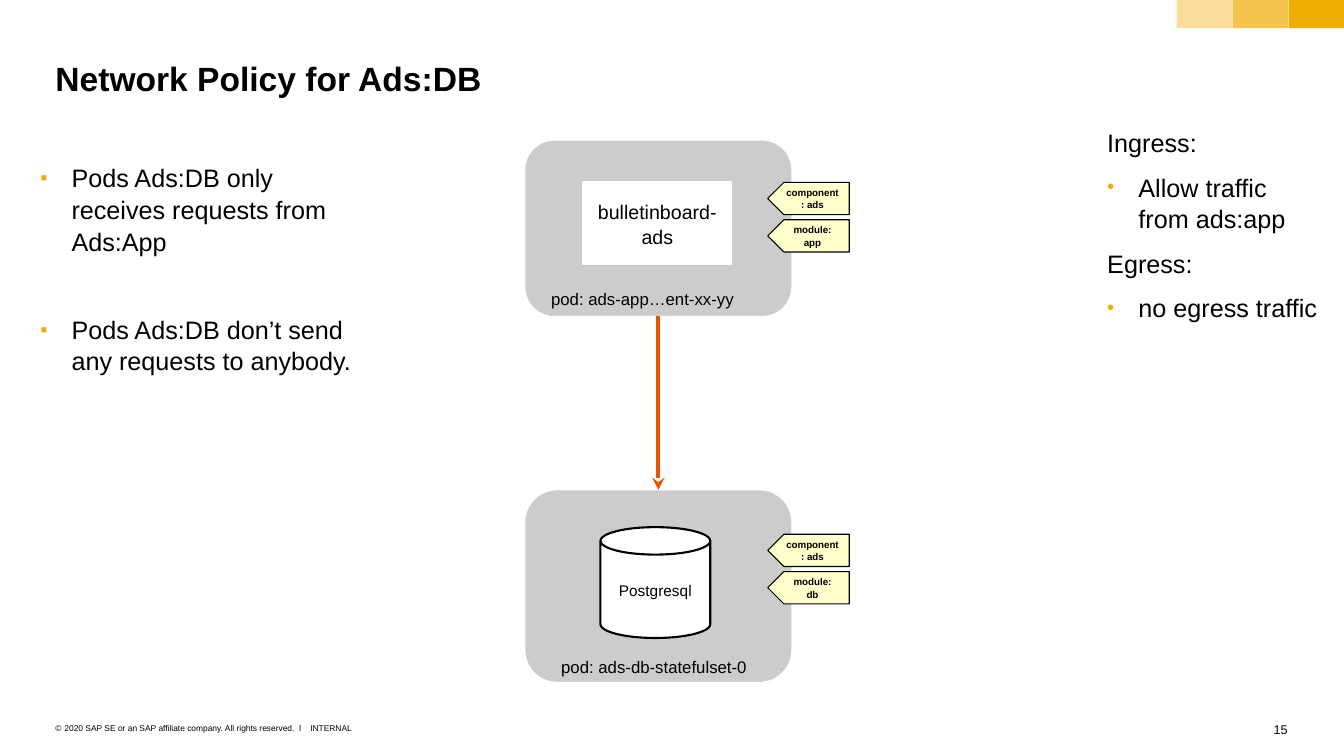
from dataclasses import dataclass
from typing import NamedTuple, Optional

from lxml import etree
from pptx import Presentation
from pptx.dml.color import RGBColor
from pptx.enum import shapes, text
from pptx.oxml import ns
from pptx.util import Inches, Pt


@dataclass(frozen=True)
class Theme:
    font: str = "Arial"
    ink: str = "000000"
    paper: str = "FFFFFF"
    accent: str = "F0AB00"
    pod: str = "CCCCCC"
    tag: str = "FFFFCC"
    arrow: str = "E35500"
    title_size: float = 24
    list_size: float = 18
    app_size: float = 14
    label_size: float = 12
    database_size: float = 11
    number_size: float = 9
    tag_size: float = 7
    footer_size: float = 6


class Box(NamedTuple):
    left: float
    top: float
    width: float
    height: float

    def lengths(self) -> list:
        return [Inches(value) for value in self]


@dataclass(frozen=True)
class Item:
    text: str
    bullet: str = ""
    before: float = 9


@dataclass(frozen=True)
class Pod:
    box: Box
    label: str
    label_box: Box
    content: str
    content_box: Box
    content_kind: shapes.MSO_SHAPE
    content_size: float
    content_line: str
    tags: tuple
    tag_top: float


THEME = Theme()
CENTER, LEFT, RIGHT = text.PP_ALIGN.CENTER, text.PP_ALIGN.LEFT, text.PP_ALIGN.RIGHT
TAG_LEFT, TAG_WIDTH, TAG_HEIGHT, TAG_STEP = 7.62, 0.81, 0.32, 0.37

APP_POD = Pod(
    Box(5.21, 1.39, 2.65, 1.75),
    "pod: ads-app…ent-xx-yy", Box(5.47, 2.85, 2.27, 0.2),
    "bulletinboard-\vads", Box(5.79, 1.81, 1.47, 0.81),
    shapes.MSO_SHAPE.RECTANGLE, THEME.app_size, THEME.paper,
    ("component: ads", "module:\vapp"), 1.81,
)
DATABASE_POD = Pod(
    Box(5.21, 4.86, 2.65, 1.91),
    "pod: ads-db-statefulset-0", Box(5.57, 6.51, 1.93, 0.2),
    "Postgresql", Box(5.96, 5.23, 1.09, 1.1),
    shapes.MSO_SHAPE.CAN, THEME.database_size, THEME.ink,
    ("component: ads", "module:\vdb"), 5.3,
)
POLICY_ITEMS = (
    Item("Pods Ads:DB only receives requests from Ads:App", "▪"),
    Item("Pods Ads:DB don’t send any requests to anybody.", "▪", before=40),
)
RULE_ITEMS = (
    Item("Ingress:"),
    Item("Allow traffic from ads:app", "•"),
    Item("Egress:"),
    Item("no egress traffic", "•"),
)


def color(value: str) -> RGBColor:
    return RGBColor.from_string(value)


def add_xml(parent, tag: str, **attributes: str):
    return etree.SubElement(parent, ns.qn(tag), attributes)


def format_paragraph(paragraph, size: float, align=LEFT, bold: bool = False) -> None:
    paragraph.alignment = align
    paragraph.line_spacing = 1.05
    for run in paragraph.runs:
        run.font.name = THEME.font
        run.font.size = Pt(size)
        run.font.bold = bold
        run.font.color.rgb = color(THEME.ink)


def set_bullet(paragraph, character: str, indent: float, bullet_color: str, percent: int) -> None:
    """Give the paragraph a hanging bullet, or none if the character is empty."""
    properties = paragraph._p.get_or_add_pPr()
    hang = Inches(indent) if character else 0
    properties.set("marL", str(hang))
    properties.set("indent", str(-hang))
    if not character:
        add_xml(properties, "a:buNone")
        return
    add_xml(add_xml(properties, "a:buClr"), "a:srgbClr", val=bullet_color)
    add_xml(properties, "a:buSzPct", val=str(percent * 1000))
    add_xml(properties, "a:buFont", typeface=THEME.font)
    add_xml(properties, "a:buChar", char=character)


def prepare_frame(shape, wrap: bool = True, anchor=text.MSO_ANCHOR.TOP, inset=(0, 0)):
    frame = shape.text_frame
    frame.word_wrap = wrap
    frame.auto_size = text.MSO_AUTO_SIZE.NONE
    frame.vertical_anchor = anchor
    frame.margin_left = frame.margin_right = Inches(inset[0])
    frame.margin_top = frame.margin_bottom = Inches(inset[1])
    return frame


def add_text(slide, box: Box, words: str, size: float, align=LEFT, wrap: bool = True):
    frame = prepare_frame(slide.shapes.add_textbox(*box.lengths()), wrap)
    frame.text = words
    format_paragraph(frame.paragraphs[0], size, align)
    return frame.paragraphs[0]


def add_block(slide, kind, box: Box, fill: str, line: Optional[str] = None, width: float = 0.75,
              words: str = "", size: float = THEME.label_size, bold: bool = False):
    shape = slide.shapes.add_shape(kind, *box.lengths())
    shape.shadow.inherit = False
    shape.fill.solid()
    shape.fill.fore_color.rgb = color(fill)
    if line:
        shape.line.color.rgb = color(line)
        shape.line.width = Pt(width)
    else:
        shape.line.fill.background()
    if words:
        frame = prepare_frame(shape, anchor=text.MSO_ANCHOR.MIDDLE, inset=(0.1, 0.08))
        frame.text = words
        format_paragraph(frame.paragraphs[0], size, CENTER, bold)
    return shape


def place(placeholder, box: Box) -> None:
    placeholder.left, placeholder.top, placeholder.width, placeholder.height = box.lengths()


def fill_title(title, box: Box, words: str) -> None:
    place(title, box)
    frame = prepare_frame(title)
    frame.text = words
    format_paragraph(frame.paragraphs[0], THEME.title_size, bold=True)


def fill_list(body, box: Box, items: tuple) -> None:
    place(body, box)
    frame = prepare_frame(body)
    for index, item in enumerate(items):
        paragraph = frame.add_paragraph() if index else frame.paragraphs[0]
        paragraph.text = item.text
        set_bullet(paragraph, item.bullet, 0.31, THEME.accent, 80)
        paragraph.space_before = Pt(item.before if index else 0)
        format_paragraph(paragraph, THEME.list_size)


def add_pod(slide, pod: Pod):
    frame = add_block(slide, shapes.MSO_SHAPE.ROUNDED_RECTANGLE, pod.box, THEME.pod, THEME.paper, 0.79)
    add_text(slide, pod.label_box, pod.label, THEME.label_size)
    for index, words in enumerate(pod.tags):
        box = Box(TAG_LEFT, pod.tag_top + index * TAG_STEP, TAG_WIDTH, TAG_HEIGHT)
        tag = add_block(slide, shapes.MSO_SHAPE.PENTAGON, box, THEME.tag, THEME.ink,
                        words=words, size=THEME.tag_size, bold=True)
        tag._element.spPr.xfrm.set("flipH", "1")
    add_block(slide, pod.content_kind, pod.content_box, THEME.paper, pod.content_line, 1.5,
              pod.content, pod.content_size)
    return frame


def add_arrow(slide, source, target) -> None:
    arrow = slide.shapes.add_connector(shapes.MSO_CONNECTOR.STRAIGHT, 0, 0, 0, 0)
    arrow.begin_connect(source, 2)
    arrow.end_connect(target, 0)
    arrow.line.color.rgb = color(THEME.arrow)
    arrow.line.width = Pt(3)
    add_xml(arrow.line._get_or_add_ln(), "a:tailEnd", type="stealth")
    add_xml(arrow._element.spPr, "a:effectLst")


def add_corner_bars(slide) -> None:
    for index, opacity in enumerate((40, 70, 100)):
        box = Box(11.68 + index * 0.555, 0, 0.55, 0.28)
        bar = add_block(slide, shapes.MSO_SHAPE.RECTANGLE, box, THEME.accent)
        if opacity < 100:
            fill_color = bar._element.spPr.find(".//" + ns.qn("a:srgbClr"))
            add_xml(fill_color, "a:alpha", val=str(opacity * 1000))


def add_footer(slide) -> None:
    notice = add_text(slide, Box(0.55, 7.17, 2.48, 0.1),
                      "2020 SAP SE or an SAP affiliate company. All rights reserved.  ǀ", THEME.footer_size)
    set_bullet(notice, "©", 0.09, THEME.ink, 100)
    add_text(slide, Box(3.08, 7.17, 0.42, 0.1), "INTERNAL", THEME.footer_size, wrap=False)
    add_text(slide, Box(12.63, 7.15, 0.15, 0.15), "15", THEME.number_size, RIGHT, wrap=False)


def main() -> None:
    presentation = Presentation()
    presentation.slide_width, presentation.slide_height = Inches(13.34), Inches(7.5)
    slide = presentation.slides.add_slide(presentation.slide_layouts.get_by_name("Two Content"))
    title, policy, rules = slide.placeholders
    fill_title(title, Box(0.55, 0.55, 12.23, 0.4), "Network Policy for Ads:DB")
    fill_list(policy, Box(0.4, 1.6, 3.25, 2.12), POLICY_ITEMS)
    fill_list(rules, Box(10.99, 1.25, 2.14, 1.97), RULE_ITEMS)
    add_corner_bars(slide)
    add_footer(slide)
    database = add_pod(slide, DATABASE_POD)
    app = add_pod(slide, APP_POD)
    add_arrow(slide, app, database)
    presentation.save("out.pptx")


if __name__ == "__main__":
    main()
